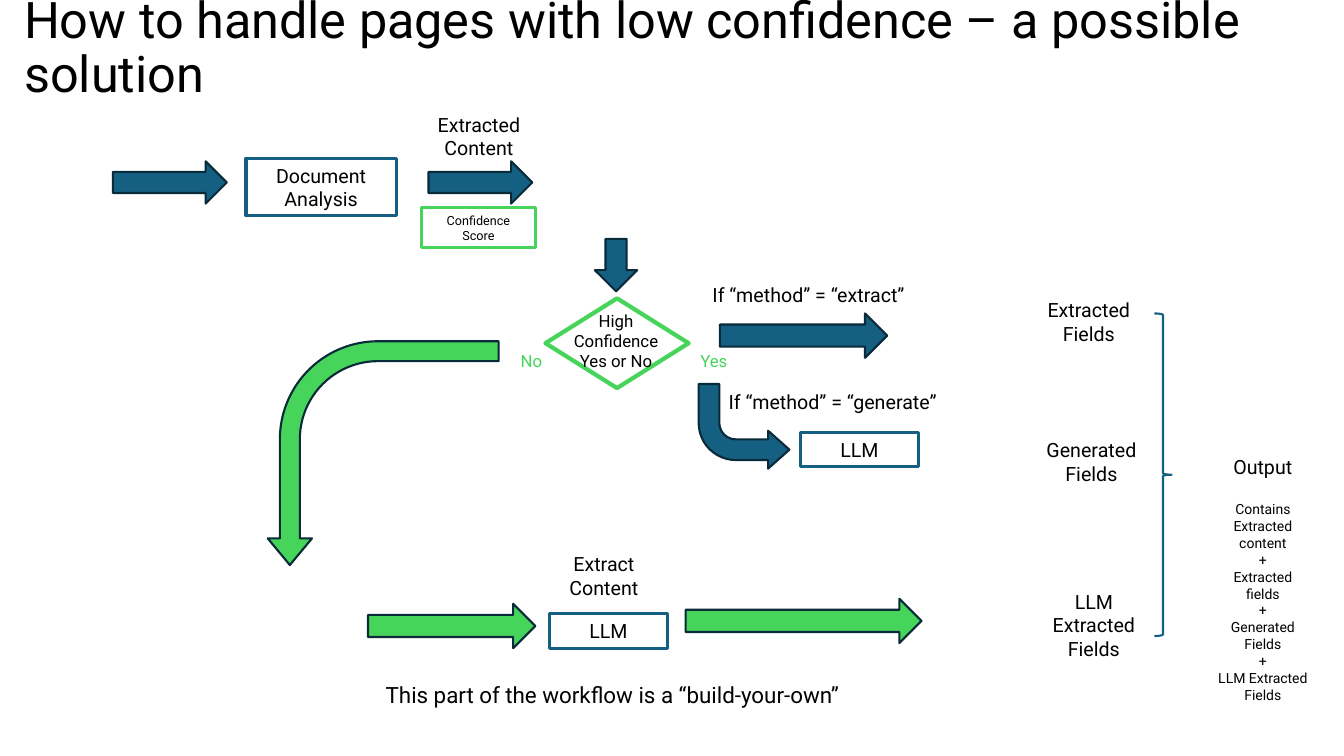
from pptx import Presentation
from pptx.dml.color import RGBColor
from pptx.enum.shapes import MSO_SHAPE as Kind
from pptx.enum.text import MSO_ANCHOR as Anchor, MSO_AUTO_SIZE as Fit, PP_ALIGN as Align
from pptx.oxml.ns import qn
from pptx.util import Inches, Pt

BLACK = RGBColor(0x00, 0x00, 0x00)
BLUE = RGBColor(0x15, 0x60, 0x82)
NAVY = RGBColor(0x09, 0x2A, 0x39)
GREEN = RGBColor(0x47, 0xD4, 0x5A)
CELL = Inches(0.1)  # side of one grid square

deck = Presentation()
deck.slide_width, deck.slide_height = Inches(13.33), Inches(7.5)
slide = deck.slides.add_slide(deck.slide_layouts[6])


def draw(kind, area, fill=None, edge=NAVY, weight=1.5, turn=0, flip=False, bends=()):
    """Add a preset shape; area is left, top, width, height in grid squares."""
    shape = slide.shapes.add_shape(kind, *[round(n * CELL) for n in area])
    shape.shadow.inherit = False
    if fill is None:
        shape.fill.background()
    else:
        shape.fill.solid()
        shape.fill.fore_color.rgb = fill
    shape.line.color.rgb = edge
    shape.line.width = Pt(weight)
    shape.rotation = turn
    if flip:
        shape.element.spPr.find(qn("a:xfrm")).set("flipV", "1")
    for i, bend in enumerate(bends):
        shape.adjustments[i] = bend
    return shape


def write(text, area, size=14, color=BLACK, edge=None, align=Align.CENTER,
          anchor=Anchor.TOP, pitch=None, fit=Fit.SHAPE_TO_FIT_TEXT):
    """Add text, one paragraph a line, in a framed box if edge is given."""
    if edge is None:
        box = slide.shapes.add_textbox(*[round(n * CELL) for n in area])
    else:
        box = draw(Kind.RECTANGLE, area, edge=edge, weight=2.25)
    frame = box.text_frame
    frame.word_wrap = True
    frame.auto_size = fit
    frame.vertical_anchor = anchor
    for i, line in enumerate(text.split("\n")):
        para = frame.paragraphs[0] if i == 0 else frame.add_paragraph()
        para.alignment = align
        para.line_spacing = pitch
        run = para.add_run()
        run.text = line
        run.font.name = "Roboto"
        run.font.size = Pt(size)
        run.font.color.rgb = color
    return frame


write("How to handle pages with low confidence – a possible solution",
      (1.4, 1.3, 129.3, 7.2), size=36, align=Align.LEFT, anchor=Anchor.MIDDLE,
      pitch=0.9, fit=Fit.NONE)

# Arrows
for area, fill, turn in [
    ((11.2, 16, 11.3, 4.2), BLUE, 0),
    ((42.5, 16, 10.3, 4.2), BLUE, 0),
    ((58.5, 24.2, 5.2, 4.2), BLUE, 90),
    ((71.4, 31.1, 16.6, 4.4), BLUE, 0),
    ((36.5, 59.9, 16.6, 4.4), GREEN, 0),
    ((68, 59.4, 23.4, 4.4), GREEN, 0),
]:
    draw(Kind.RIGHT_ARROW, area, fill, turn=turn)
draw(Kind.BENT_ARROW, (69.3, 38.1, 9, 8.4), BLUE, flip=True,
     bends=(0.244, 0.224, 0.252, 0.438))
draw(Kind.BENT_ARROW, (26.9, 33.5, 22.2, 22.9), GREEN, turn=90, flip=True,
     bends=(0.089, 0.099, 0.119, 0.438))

# Framed steps
for text, area, size, edge in [
    ("Document Analysis", (24.4, 15.7, 14.9, 5.7), 14, BLUE),
    ("Confidence Score", (41.8, 20.6, 11.3, 4), 9, GREEN),
    ("LLM", (79.4, 42.9, 11.7, 3.4), 14, BLUE),
    ("LLM", (54.5, 60.9, 11.7, 3.4), 14, BLUE),
]:
    write(text, area, size=size, edge=edge, anchor=Anchor.MIDDLE)

# Decision
draw(Kind.FLOWCHART_DECISION, (54.1, 29.6, 14.2, 8.9), edge=GREEN, weight=3)
write("High Confidence\nYes or No", (55, 30.3, 12.2, 7.1), size=12)
for text, left in [("No", 49.3), ("Yes", 67.4)]:
    write(text, (left, 34.3, 6.8, 3), size=12, color=GREEN)

# Labels
for text, area in [
    ("Extracted Content", (40.4, 10.7, 14.2, 5.7)),
    ("If “method” = “extract”", (68.2, 27.6, 24, 3.4)),
    ("If “method” = “generate”", (71.1, 38.2, 23, 3.4)),
    ("Extract Content", (52.8, 54.3, 14.2, 5.7)),
    ("Extracted\nFields", (102.8, 29.1, 10.4, 5.7)),
    ("Generated Fields", (102.8, 43, 10.9, 5.7)),
    ("LLM Extracted\nFields", (103.3, 58, 10.4, 8.1)),
]:
    write(text, area)
write("This part of the workflow is a “build-your-own”",
      (36.2, 67.1, 49.1, 3.7), size=16)

# Output
draw(Kind.RIGHT_BRACE, (114.5, 31.1, 1.7, 32), edge=BLUE)
output = write("Output\nContains\nExtracted content\n+\nExtracted fields\n+\n"
               "Generated Fields\n+\nLLM Extracted Fields",
               (119.8, 44.6, 10.9, 25.9), size=10)
output.paragraphs[0].runs[0].font.size = Pt(14)
output.paragraphs[1].space_before = Pt(16.4)

deck.save("out.pptx")
